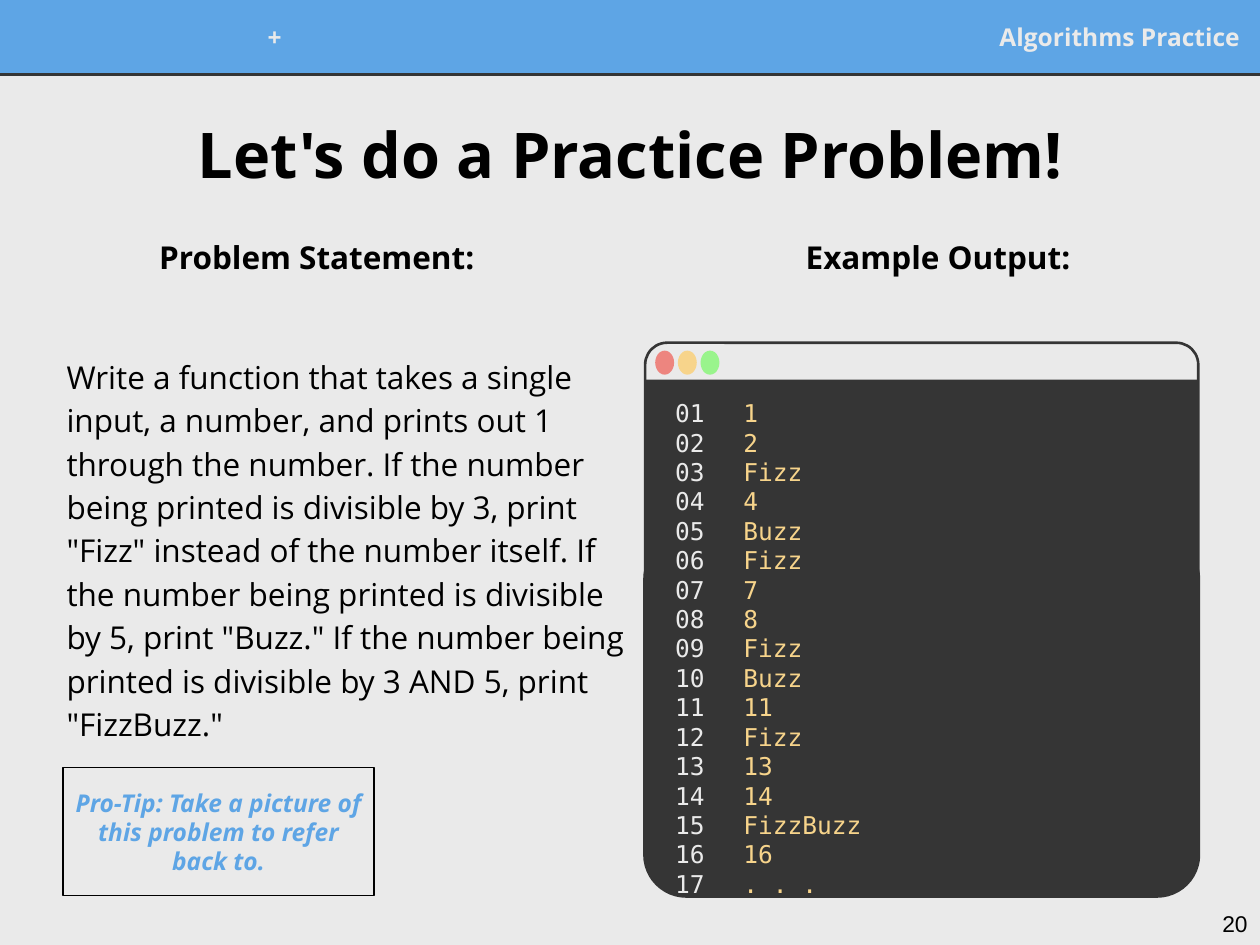
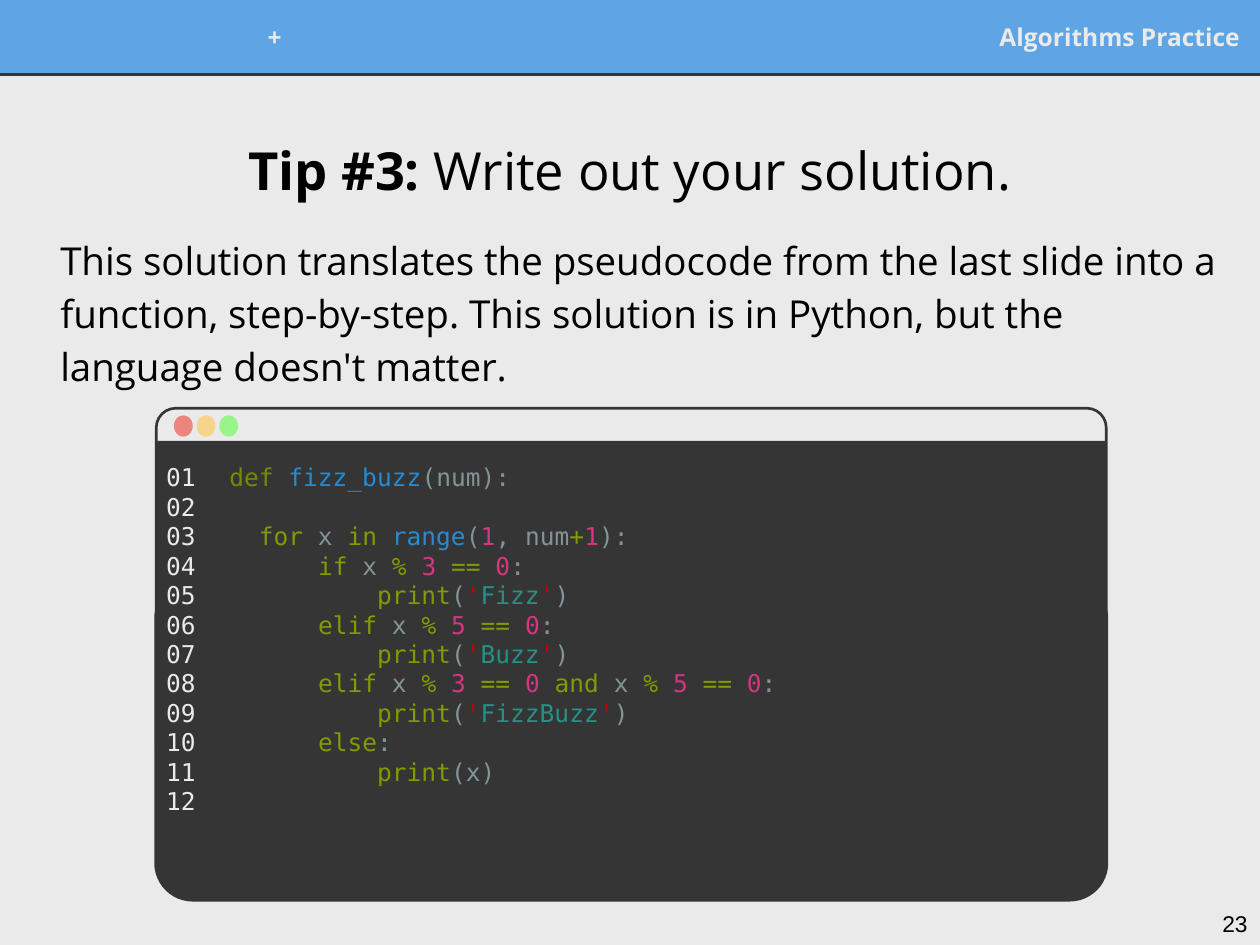
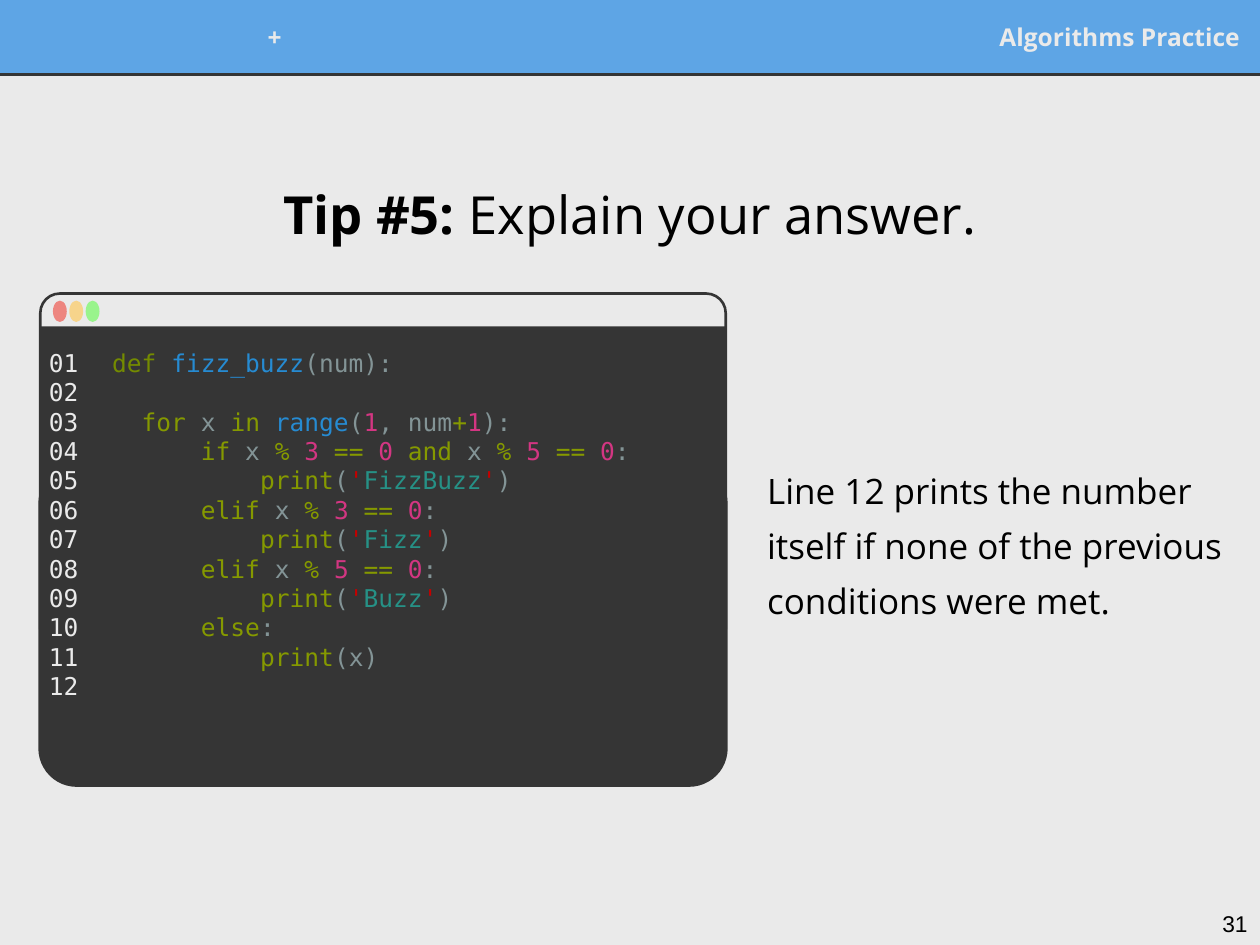
from dataclasses import dataclass
from itertools import groupby

from pptx import Presentation
from pptx.dml.color import RGBColor
from pptx.enum.shapes import MSO_CONNECTOR, MSO_SHAPE
from pptx.enum.text import MSO_ANCHOR, PP_ALIGN
from pptx.oxml.ns import qn
from pptx.util import Inches, Pt

LEFT, CENTER, RIGHT = PP_ALIGN.LEFT, PP_ALIGN.CENTER, PP_ALIGN.RIGHT
TOP, MIDDLE = MSO_ANCHOR.TOP, MSO_ANCHOR.MIDDLE
RECT, ROUND, OVAL = MSO_SHAPE.RECTANGLE, MSO_SHAPE.ROUNDED_RECTANGLE, MSO_SHAPE.OVAL
STRAIGHT = MSO_CONNECTOR.STRAIGHT

COLORS = {
    "paper": "EAEAEA", "blue": "5EA5E5", "dark": "353535", "black": "000000",
    "red": "ED857F", "yellow": "F7D48B", "green": "99F48C",
    "def": "748B00", "function": "268BD2", "keyword": "859900", "plain": "839496",
    "number": "D33682", "quote": "C60000", "string": "269186",
}
SANS, MONO = "Open Sans", "DejaVu Sans Mono"
KEYWORDS = {"for", "in", "if", "elif", "else", "and", "print"}
FUNCTIONS = {"fizz_buzz", "range"}
OPERATORS = "%+="
INSET = 0.1
BAND_HEIGHT = 0.59

Box = tuple[float, float, float, float]


@dataclass
class Style:
    size: int
    color: str = "black"
    font: str = SANS
    bold: bool = False
    italic: bool = False
    align: PP_ALIGN = LEFT
    anchor: MSO_ANCHOR = MIDDLE
    spacing: float = 1.0


@dataclass
class Window:
    box: Box
    dot_left: float
    dot_step: float
    dot_width: float
    numbers_left: float
    numbers_width: float
    code_width: float
    text_top: float
    text_height: float


BAND_LEFT = Style(14, "paper", bold=True, align=CENTER)
BAND_RIGHT = Style(14, "paper", bold=True, align=RIGHT)
PAGE = Style(13, font="Arial", align=RIGHT, anchor=TOP)
TITLE = Style(36, bold=True, align=CENTER)
TIP = Style(30, align=CENTER, spacing=1.15)
HEADING = Style(18, bold=True, align=CENTER, spacing=1.15)
PROBLEM = Style(18, spacing=1.15)
INTRO = Style(22, spacing=1.15)
REMARK = Style(20, spacing=1.3)
PRO_TIP = Style(14, "blue", bold=True, italic=True, align=CENTER)
LINE_NUMBERS = Style(14, "paper", MONO, anchor=TOP)
OUTPUT = Style(14, "yellow", MONO, anchor=TOP)
CODE = Style(14, "plain", MONO, anchor=TOP)

OUTPUT_LINES = ["1", "2", "Fizz", "4", "Buzz", "Fizz", "7", "8", "Fizz", "Buzz",
                "11", "Fizz", "13", "14", "FizzBuzz", "16", ". . ."]
FIRST_CODE = """def fizz_buzz(num):

  for x in range(1, num+1):
      if x % 3 == 0:
          print('Fizz')
      elif x % 5 == 0:
          print('Buzz')
      elif x % 3 == 0 and x % 5 == 0:
          print('FizzBuzz')
      else:
          print(x)"""
FINAL_CODE = """def fizz_buzz(num):

  for x in range(1, num+1):
      if x % 3 == 0 and x % 5 == 0:
          print('FizzBuzz')
      elif x % 3 == 0:
          print('Fizz')
      elif x % 5 == 0:
          print('Buzz')
      else:
          print(x)"""


def rgb(name: str) -> RGBColor:
    return RGBColor.from_string(COLORS[name])


# Text
def set_frame(tf, style: Style, left_inset: float = INSET) -> None:
    tf.word_wrap = True
    tf.vertical_anchor = style.anchor
    tf.margin_left = Inches(left_inset)
    tf.margin_top = tf.margin_right = tf.margin_bottom = Inches(INSET)


def set_paragraph(p, style: Style) -> None:
    p.alignment = style.align
    p.line_spacing = style.spacing
    font = p.font
    font.name, font.size = style.font, Pt(style.size)
    font.bold, font.italic = style.bold, style.italic
    font.color.rgb = rgb(style.color)


def write(tf, lines: list[str], style: Style, left_inset: float = INSET) -> None:
    set_frame(tf, style, left_inset)
    for i, line in enumerate(lines):
        p = tf.paragraphs[0] if i == 0 else tf.add_paragraph()
        p.add_run().text = line
        set_paragraph(p, style)


def add_frame(s, box: Box):
    return s.shapes.add_textbox(*map(Inches, box)).text_frame


def add_text(s, box: Box, text: str, style: Style) -> None:
    write(add_frame(s, box), [text], style)


def add_tip_title(s, top: float, label: str, text: str) -> None:
    tf = add_frame(s, (0.92, top, 8.16, 1.1))
    set_frame(tf, TIP)
    p = tf.paragraphs[0]
    set_paragraph(p, TIP)
    r = p.add_run()
    r.text = label + " "
    r.font.bold = True
    p.add_run().text = text


# Shapes
def add_shape(shapes, kind: MSO_SHAPE, box: Box, fill: str | None = None,
              line: str | None = None, width: float = 0.75, corner: float | None = None):
    sp = shapes.add_shape(kind, *map(Inches, box))
    sp.shadow.inherit = False
    if corner is not None:
        sp.adjustments[0] = corner
    if fill:
        sp.fill.solid()
        sp.fill.fore_color.rgb = rgb(fill)
    else:
        sp.fill.background()
    if line:
        sp.line.color.rgb = rgb(line)
        sp.line.width = Pt(width)
    else:
        sp.line.fill.background()
    return sp


# Syntax colours
def char_class(char: str) -> str:
    if char.isalnum() or char == "_":
        return "word"
    if char in OPERATORS:
        return "keyword"
    return "quote" if char == "'" else "plain"


def highlight(line: str) -> list[tuple[str, str]]:
    pieces, in_string = [], False
    for kind, chars in groupby(line, key=char_class):
        token = "".join(chars)
        if kind == "quote":
            in_string = not in_string
        elif kind == "word":
            if in_string:
                kind = "string"
            elif token == "def":
                kind = "def"
            elif token in KEYWORDS:
                kind = "keyword"
            elif token in FUNCTIONS:
                kind = "function"
            else:
                kind = "number" if token.isdigit() else "plain"
        pieces.append((token, kind))
    return pieces


def write_code(tf, code: str, left_inset: float) -> None:
    set_frame(tf, CODE, left_inset)
    p = tf.paragraphs[0]
    set_paragraph(p, CODE)
    for i, line in enumerate(code.split("\n")):
        if i:
            p.add_line_break()
        for token, color in highlight(line):
            r = p.add_run()
            r.text = token
            r.font.color.rgb = rgb(color)


# Editor window: its parts keep fixed shares of the height
def add_window(s, w: Window, line_count: int):
    left, top, width, height = w.box
    shapes = s.shapes.add_group_shape().shapes
    lower = height * 11 / 17
    add_shape(shapes, ROUND, (left, top, width, height * 13 / 18),
              line="dark", width=1.5, corner=0.055)
    add_shape(shapes, RECT, (left, top + height / 15, width, height * 31 / 36), "dark")
    add_shape(shapes, ROUND, (left, top + height - lower, width, lower),
              "dark", "dark", 2.25, 0.115)
    for i, color in enumerate(("red", "yellow", "green")):
        add_shape(shapes, OVAL, (left + w.dot_left + i * w.dot_step, top + height / 70,
                                 w.dot_width, height / 23), color)

    numbers = [f"{n:02}" for n in range(1, line_count + 1)]
    write(add_frame(s, (w.numbers_left, w.text_top, w.numbers_width, w.text_height)),
          numbers, LINE_NUMBERS)
    return add_frame(s, (w.numbers_left + w.numbers_width, w.text_top,
                         w.code_width, w.text_height))


# Shared background, band and page number
def add_base(prs, page: int):
    s = prs.slides.add_slide(prs.slide_layouts[6])
    s.background.fill.solid()
    s.background.fill.fore_color.rgb = rgb("paper")
    add_text(s, (9.4, 7.12, 0.6, 0.38), str(page), PAGE)
    add_shape(s.shapes, RECT, (0, 0, 10, BAND_HEIGHT), "blue", "blue")
    rule = s.shapes.add_connector(STRAIGHT, 0, Inches(BAND_HEIGHT),
                                  Inches(10), Inches(BAND_HEIGHT))
    rule.line.color.rgb = rgb("dark")
    rule.line.width = Pt(1.5)
    sp_pr = rule._element.spPr
    sp_pr.append(sp_pr.makeelement(qn("a:effectLst"), {}))
    add_text(s, (5.93, 0.1, 4.01, 0.38), "Algorithms Practice", BAND_RIGHT)
    add_text(s, (2.02, 0.1, 0.32, 0.38), "+", BAND_LEFT)
    return s


def add_problem_slide(prs) -> None:
    s = add_base(prs, 20)
    add_text(s, (0.99, 0.71, 8.03, 1.02), "Let's do a Practice Problem!", TITLE)
    for left, heading in ((0.91, "Problem Statement:"), (5.84, "Example Output:")):
        add_text(s, (left, 1.77, 3.21, 0.49), heading, HEADING)
    add_text(s, (0.43, 2.44, 4.64, 3.81),
             "Write a function that takes a single input, a number, and prints out 1 "
             "through the number. If the number being printed is divisible by 3, print "
             '"Fizz" instead of the number itself. If the number being printed is '
             'divisible by 5, print "Buzz." If the number being printed is divisible by '
             '3 AND 5, print "FizzBuzz."', PROBLEM)
    tip = add_shape(s.shapes, RECT, (0.5, 6.09, 2.47, 1.02), line="black")
    write(tip.text_frame, ["Pro-Tip: Take a picture of this problem to refer back to."],
          PRO_TIP)
    window = Window((5.12, 2.72, 4.39, 4.39), 0.08, 0.18, 0.15,
                    5.26, 0.5, 3.88, 3.06, 4.01)
    write(add_window(s, window, len(OUTPUT_LINES)), OUTPUT_LINES, OUTPUT, 0.14)


def add_solution_slide(prs) -> None:
    s = add_base(prs, 23)
    add_tip_title(s, 0.76, "Tip #3:", "Write out your solution.")
    add_text(s, (0.38, 1.85, 9.38, 1.21),
             "This solution translates the pseudocode from the last slide into a function, "
             "step-by-step. This solution is in Python, but the language doesn't matter.",
             INTRO)
    window = Window((1.24, 3.24, 7.54, 3.9), 0.14, 0.18, 0.15,
                    1.22, 0.46, 6.93, 3.57, 3.38)
    write_code(add_window(s, window, 12), FIRST_CODE, 0.14)


def add_explanation_slide(prs) -> None:
    s = add_base(prs, 31)
    add_tip_title(s, 1.11, "Tip #5:", "Explain your answer.")
    window = Window((0.32, 2.33, 5.44, 3.9), 0.1, 0.13, 0.11,
                    0.29, 0.46, 4.68, 2.66, 3.38)
    write_code(add_window(s, window, 12), FINAL_CODE, 0.14)
    add_text(s, (5.99, 2.36, 3.82, 3.84),
             "Line 12 prints the number itself if none of the previous conditions were met.",
             REMARK)


def main() -> None:
    prs = Presentation()
    prs.slide_width, prs.slide_height = Inches(10), Inches(7.5)
    add_problem_slide(prs)
    add_solution_slide(prs)
    add_explanation_slide(prs)
    prs.save("out.pptx")


if __name__ == "__main__":
    main()
